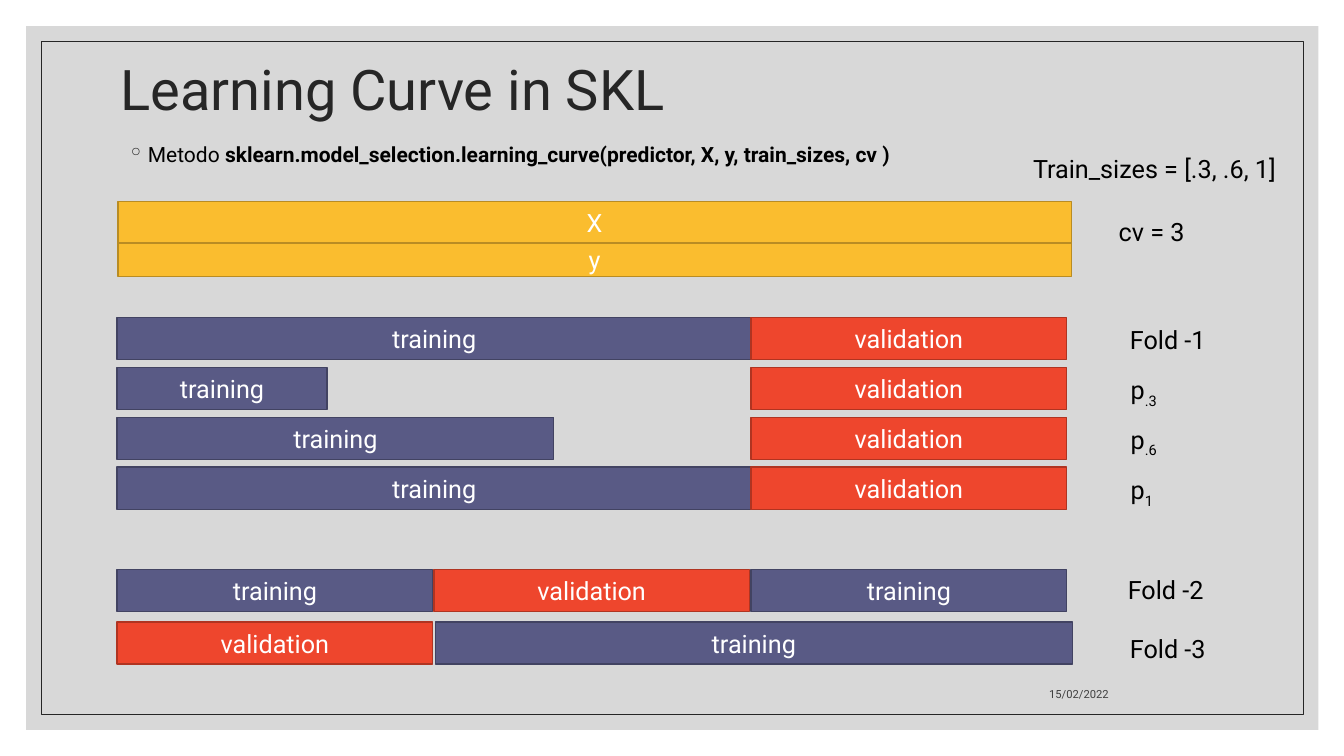
from lxml.etree import SubElement
from pptx import Presentation
from pptx.dml.color import RGBColor
from pptx.enum.shapes import MSO_SHAPE
from pptx.enum.text import MSO_ANCHOR, PP_ALIGN
from pptx.oxml.ns import qn
from pptx.util import Pt

TRAINING = ("training", "595A85", "424362")
VALIDATION = ("validation", "EE462D", "B03421")
LEFT, MIDDLE, RIGHT = 83.7, 310, 536.6
THIRD, TWO_THIRDS, BAR_HEIGHT = 225.4, 452.9, 30.2


def add_box(left, top, width, height, fill, line, line_width):
    shape = slide.shapes.add_shape(
        MSO_SHAPE.RECTANGLE, Pt(left), Pt(top), Pt(width), Pt(height))
    shape.shadow.inherit = False
    if fill:
        shape.fill.solid()
        shape.fill.fore_color.rgb = RGBColor.from_string(fill)
    else:
        shape.fill.background()
    if line:
        shape.line.color.rgb = RGBColor.from_string(line)
        shape.line.width = Pt(line_width)
    else:
        shape.line.fill.background()
    return shape


def write(shape, runs, size=18, color="000000", anchor=MSO_ANCHOR.TOP, **paragraph_format):
    """Fill the shape with one paragraph of (text, style) runs; style is "", "bold" or "subscript"."""
    frame = shape.text_frame
    frame.word_wrap = True
    frame.vertical_anchor = anchor
    paragraph = frame.paragraphs[0]
    for name, value in paragraph_format.items():
        setattr(paragraph, name, value)
    for text, style in runs:
        run = paragraph.add_run()
        run.text = text
        font_format = {"name": "Roboto", "size": Pt(size), "bold": style == "bold"}
        for name, value in font_format.items():
            setattr(run.font, name, value)
        run.font.color.rgb = RGBColor.from_string(color)
        if style == "subscript":
            run.font._element.set("baseline", "-25000")
    return paragraph


presentation = Presentation()
presentation.slide_width, presentation.slide_height = Pt(960), Pt(540)
slide = presentation.slides.add_slide(presentation.slide_layouts[6])

# Background panel and frame
panel = add_box(18.7, 18.7, 923, 502.6, "BFBFBF", None, 0)
panel_color = panel.fill._xPr.find(qn("a:solidFill"))[0]
SubElement(panel_color, qn("a:alpha"), val="60000")
add_box(29.5, 29.5, 901.4, 481, None, "262626", 0.5)

# Title, method and date
title = slide.shapes.add_textbox(Pt(79.2), Pt(12.2), Pt(792), Pt(108))
write(title, [("Learning Curve in SKL", "")], 40, "262626", MSO_ANCHOR.MIDDLE, line_spacing=0.9)

method = slide.shapes.add_textbox(Pt(84.2), Pt(95.8), Pt(792), Pt(37.4))
method_runs = [
    ("Metodo ", ""),
    ("sklearn.model_selection.learning_curve(predictor, X, y, train_sizes, cv )", "bold"),
]
paragraph = write(method, method_runs, 15, line_spacing=1.1, space_before=Pt(9))
properties = paragraph._p.get_or_add_pPr()
properties.set("marL", str(Pt(14.4)))
properties.set("indent", str(Pt(-14.4)))
bullet_color = SubElement(properties, qn("a:buClr"))
SubElement(bullet_color, qn("a:srgbClr"), val="262626")
SubElement(properties, qn("a:buChar"), char="◦")

date = slide.shapes.add_textbox(Pt(571.7), Pt(475.2), Pt(227.5), Pt(28.8))
write(date, [("15/02/2022", "")], 8, "404040", MSO_ANCHOR.BOTTOM, alignment=PP_ALIGN.RIGHT)

# Bars: left, top, width, height, (text, fill, line)
bars = [
    (84.2, 144, 681.1, BAR_HEIGHT, ("X", "FABD2F", "B98C23")),
    (84.2, 173.7, 681.1, 23.8, ("y", "FABD2F", "B98C23")),
    (LEFT, 406.8, THIRD, BAR_HEIGHT, TRAINING),
    (RIGHT, 406.8, THIRD, BAR_HEIGHT, TRAINING),
    (MIDDLE, 406.8, THIRD, BAR_HEIGHT, VALIDATION),
    (LEFT, 444.2, THIRD, BAR_HEIGHT, VALIDATION),
    (311, 444.2, 455, BAR_HEIGHT, TRAINING),
]
for row, training_width in enumerate([TWO_THIRDS, 149.8, 311.8, TWO_THIRDS]):
    top = 226.8 + 35.6 * row
    bars.append((LEFT, top, training_width, BAR_HEIGHT, TRAINING))
    bars.append((RIGHT, top, THIRD, BAR_HEIGHT, VALIDATION))

for left, top, width, height, (text, fill, line) in bars:
    bar = add_box(left, top, width, height, fill, line, 1)
    write(bar, [(text, "")], 18, "FFFFFF", MSO_ANCHOR.MIDDLE, alignment=PP_ALIGN.CENTER)

# Labels: left, top, width, text, subscript
labels = [
    (730.8, 105.8, 198, "Train_sizes = [.3, .6, 1]", ""),
    (792, 151.2, 76.3, "cv = 3", ""),
    (800, 228.2, 76.3, "Fold -1", ""),
    (800.6, 264.2, 76.3, "p", ".3"),
    (800.6, 299.5, 76.3, "p", ".6"),
    (800.6, 335.5, 76.3, "p", "1"),
    (798.5, 406.8, 76.3, "Fold -2", ""),
    (800, 448.6, 76.3, "Fold -3", ""),
]
for left, top, width, text, subscript in labels:
    label = slide.shapes.add_textbox(Pt(left), Pt(top), Pt(width), Pt(28.8))
    runs = [(text, "")]
    if subscript:
        runs.append((subscript, "subscript"))
    write(label, runs)

presentation.save("out.pptx")
